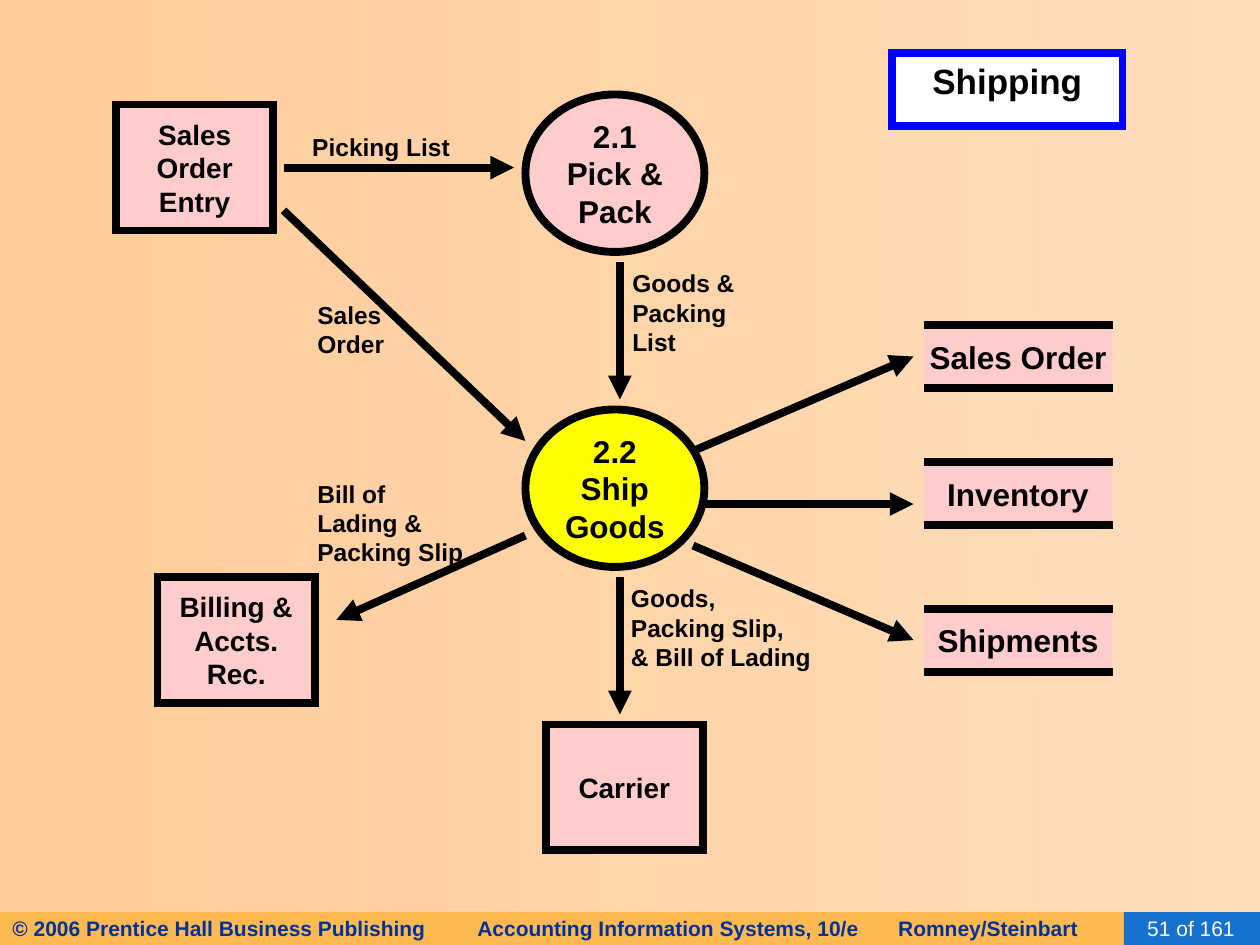
from lxml import etree
from pptx import Presentation
from pptx.dml.color import RGBColor
from pptx.enum.shapes import MSO_CONNECTOR, MSO_SHAPE
from pptx.enum.text import MSO_ANCHOR, MSO_AUTO_SIZE, PP_ALIGN
from pptx.oxml.ns import qn
from pptx.util import Inches, Pt

RECT, OVAL = MSO_SHAPE.RECTANGLE, MSO_SHAPE.OVAL
STRAIGHT = MSO_CONNECTOR.STRAIGHT
TOP, MIDDLE = MSO_ANCHOR.TOP, MSO_ANCHOR.MIDDLE
LEFT, CENTER, RIGHT = PP_ALIGN.LEFT, PP_ALIGN.CENTER, PP_ALIGN.RIGHT
GROW = MSO_AUTO_SIZE.SHAPE_TO_FIT_TEXT

THEME = {
    "font": "Arial", "line": 4.5,
    "ink": "000000", "pink": "FFCCCC", "yellow": "FFFF00", "white": "FFFFFF",
    "title_border": "0000FF", "footer": "FFB953", "footer_text": "003399",
    "page": "1672CE", "backdrop": ("FFCC99", "FFDDBB"),
    "title_size": 20, "process_size": 18, "entity_size": 16,
    "label_size": 14, "footer_size": 12,
}

# Content: text, then position in inches
TITLE = ("Shipping", (7.08, 0.42, 1.83, 0.58))
FOOTER = ("© 2006 Prentice Hall Business Publishing\t"
          "Accounting Information Systems, 10/e\tRomney/Steinbart")
FOOTER_TABS = (3.69, 7.03)
PAGE = "51 of 161"
FOOTER_TOP, FOOTER_HEIGHT = 7.24, 0.26

PROCESS_LEFT, PROCESS_SIZE = 4.17, (1.42, 1.25)
PROCESSES = [
    ("2.1\nPick &\nPack", 0.75, "pink"),
    ("2.2\nShip\nGoods", 3.25, "yellow"),
]
ENTITY_SIZE = (1.25, 1)
ENTITIES = [
    ("Sales\nOrder\nEntry", 0.92, 0.83),
    ("Carrier", 4.33, 5.75),
    ("Billing &\nAccts.\nRec.", 1.25, 4.58),
]
STORE_LEFT, STORE_SIZE = 7.33, (1.5, 0.5)
STORES = [("Sales Order", 2.58), ("Inventory", 3.67), ("Shipments", 4.83)]
FLOWS = [
    ((2.25, 1.33), (4.08, 1.33)),  # order entry to pick & pack
    ((4.92, 2.08), (4.92, 3.17)),  # pick & pack to ship goods
    ((4.92, 4.58), (4.92, 5.67)),  # ship goods to carrier
    ((5.5, 3.58), (7.25, 2.83)),   # ship goods to the three stores
    ((5.58, 4), (7.25, 4)),
    ((5.5, 4.33), (7.25, 5.08)),
    ((2.25, 1.67), (4.17, 3.5)),   # order entry to ship goods
    ((4.17, 4.25), (2.67, 4.92)),  # ship goods to billing
]
FLOW_LABELS = [
    ("Picking List", (2.38, 1, 1.4, 0.34)),
    ("Goods &\nPacking\nList", (4.92, 2.08, 1.1, 0.8)),
    ("Goods,\nPacking Slip,\n& Bill of Lading", (4.91, 4.58, 1.7, 0.8)),
    ("Bill of\nLading &\nPacking Slip", (2.42, 3.75, 1.45, 0.8)),
    ("Sales\nOrder", (2.42, 2.33, 0.8, 0.57)),
]


def color(name):
    return RGBColor.from_string(THEME[name])


def write(frame, text, size, ink="ink", align=CENTER, bold=True, tabs=()):
    frame.text = text
    for paragraph in frame.paragraphs:
        paragraph.alignment = align
        if tabs:
            tab_list = etree.SubElement(paragraph._p.get_or_add_pPr(), qn("a:tabLst"))
            for stop in tabs:
                etree.SubElement(tab_list, qn("a:tab"), pos=str(Inches(stop)), algn="l")
        font = paragraph.font
        font.name, font.size, font.bold = THEME["font"], Pt(THEME[size]), bold
        font.color.rgb = color(ink)


def add_box(shapes, kind, box, fill, text, size, border=None, anchor=MIDDLE,
            wrap=False, right_inset=0.1, **style):
    shape = shapes.add_shape(kind, *map(Inches, box))
    shape.shadow.inherit = False
    shape.fill.solid()
    shape.fill.fore_color.rgb = color(fill)
    if border:
        shape.line.color.rgb = color(border)
        shape.line.width = Pt(THEME["line"])
        # Square corners
        etree.SubElement(shape.line._get_or_add_ln(), qn("a:miter"), lim="800000")
    else:
        shape.line.fill.background()
    frame = shape.text_frame
    frame.vertical_anchor = anchor
    frame.word_wrap = wrap
    frame.margin_right = Inches(right_inset)
    write(frame, text, size, **style)


def add_line(shapes, start, end, arrow=False):
    line = shapes.add_connector(STRAIGHT, *map(Inches, start + end))
    line.line.color.rgb = color("ink")
    line.line.width = Pt(THEME["line"])
    if arrow:
        etree.SubElement(line.line._get_or_add_ln(), qn("a:tailEnd"), type="triangle")
    etree.SubElement(line._element.spPr, qn("a:effectLst"))


def main():
    prs = Presentation()
    prs.slide_width, prs.slide_height = Inches(10), Inches(7.5)
    slide = prs.slides.add_slide(prs.slide_layouts[6])
    shapes = slide.shapes

    # Background
    backdrop = slide.background.fill
    backdrop.gradient()
    backdrop.gradient_angle = 0
    for stop, shade in zip(backdrop.gradient_stops, THEME["backdrop"]):
        stop.color.rgb = RGBColor.from_string(shade)

    # Footer and page number
    add_box(shapes, RECT, (0, FOOTER_TOP, 9.25, FOOTER_HEIGHT), "footer", FOOTER,
            "footer_size", wrap=True, ink="footer_text", align=LEFT, tabs=FOOTER_TABS)
    add_box(shapes, RECT, (8.92, FOOTER_TOP, 1.08, FOOTER_HEIGHT), "page", PAGE,
            "footer_size", wrap=True, right_inset=0.2, ink="white", align=RIGHT,
            bold=False)

    # Title
    title, title_box = TITLE
    add_box(shapes, RECT, title_box, "white", title, "title_size",
            border="title_border", anchor=TOP, wrap=True)

    # Processes and external entities
    for text, top, fill in PROCESSES:
        add_box(shapes, OVAL, (PROCESS_LEFT, top, *PROCESS_SIZE), fill, text,
                "process_size", border="ink")
    for text, left, top in ENTITIES:
        add_box(shapes, RECT, (left, top, *ENTITY_SIZE), "pink", text,
                "entity_size", border="ink")

    # Data stores: a filled band between two rules
    width, height = STORE_SIZE
    for text, top in STORES:
        store = shapes.add_group_shape().shapes
        add_box(store, RECT, (STORE_LEFT, top, width, height), "pink", text, "process_size")
        for y in (top, top + height):
            add_line(store, (STORE_LEFT, y), (STORE_LEFT + width, y))

    # Flows and their labels
    for start, end in FLOWS:
        add_line(shapes, start, end, arrow=True)
    for text, box in FLOW_LABELS:
        frame = shapes.add_textbox(*map(Inches, box)).text_frame
        frame.word_wrap = False
        frame.auto_size = GROW
        write(frame, text, "label_size", align=LEFT)

    prs.save("out.pptx")


if __name__ == "__main__":
    main()
